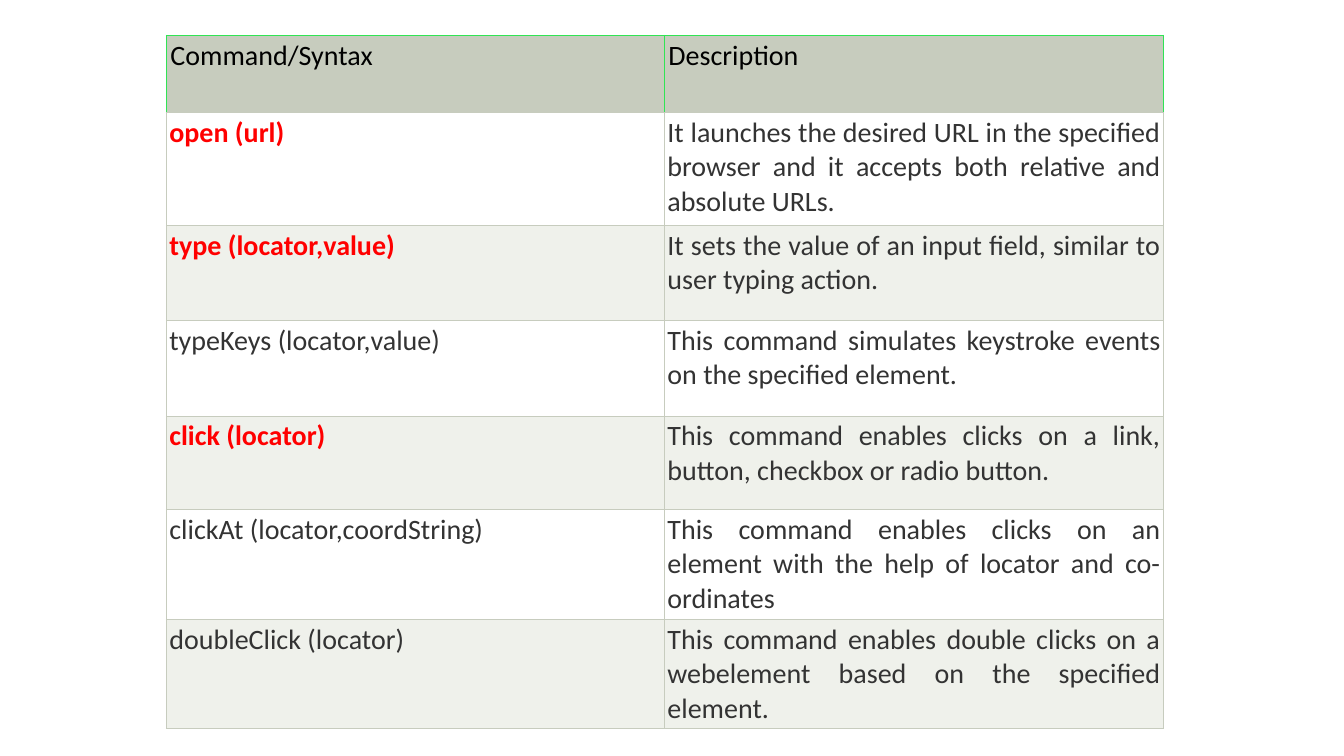
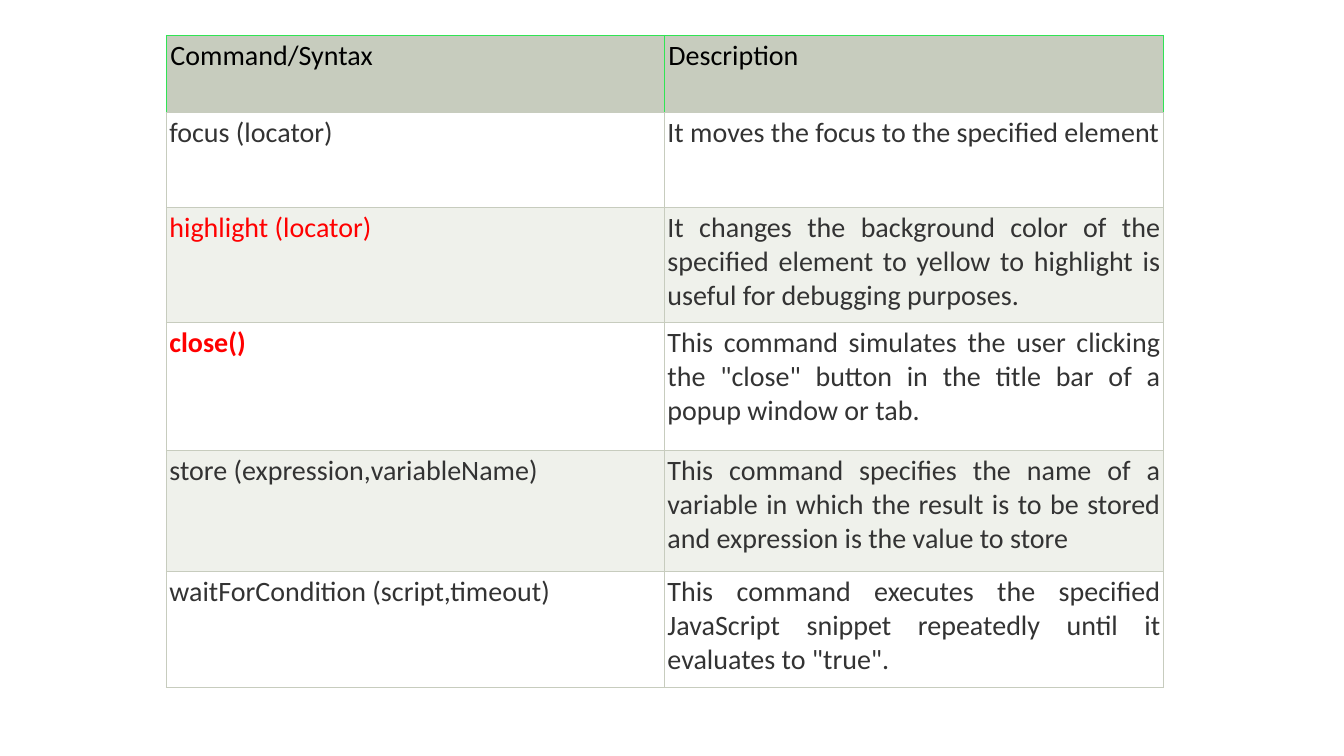
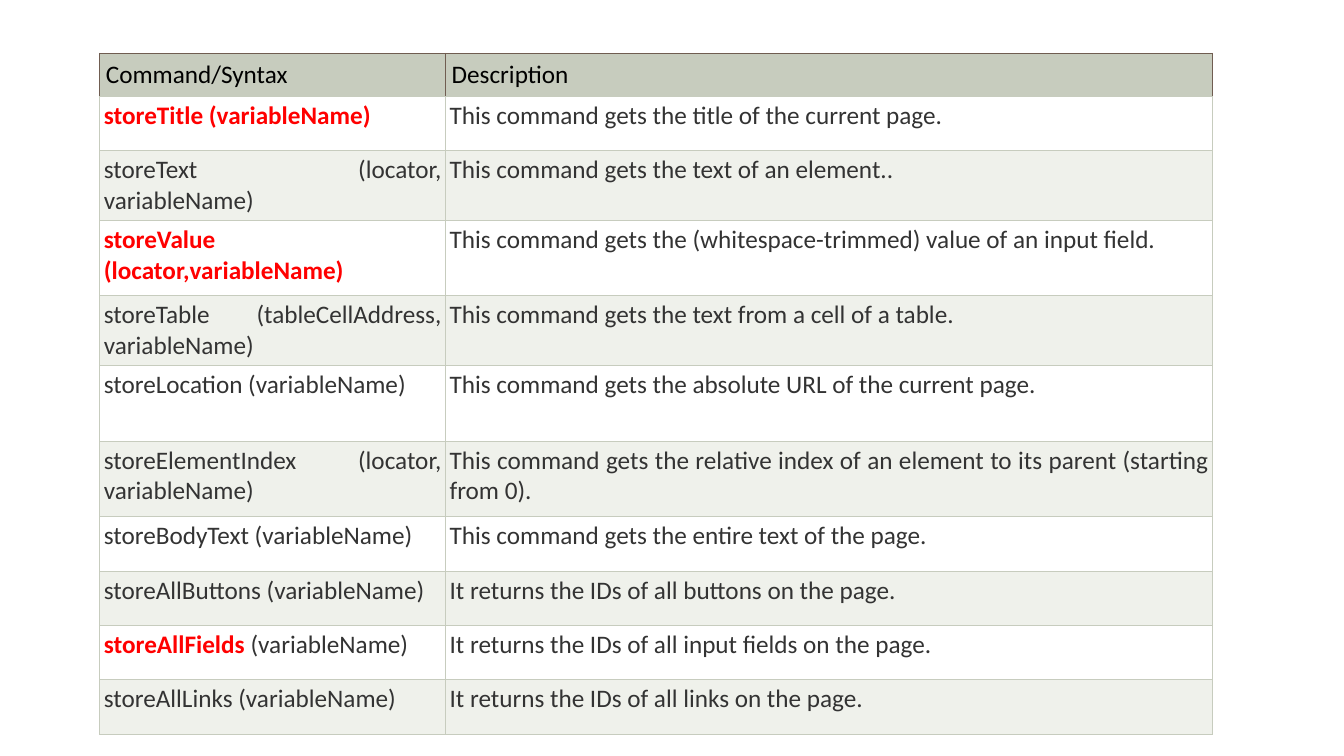
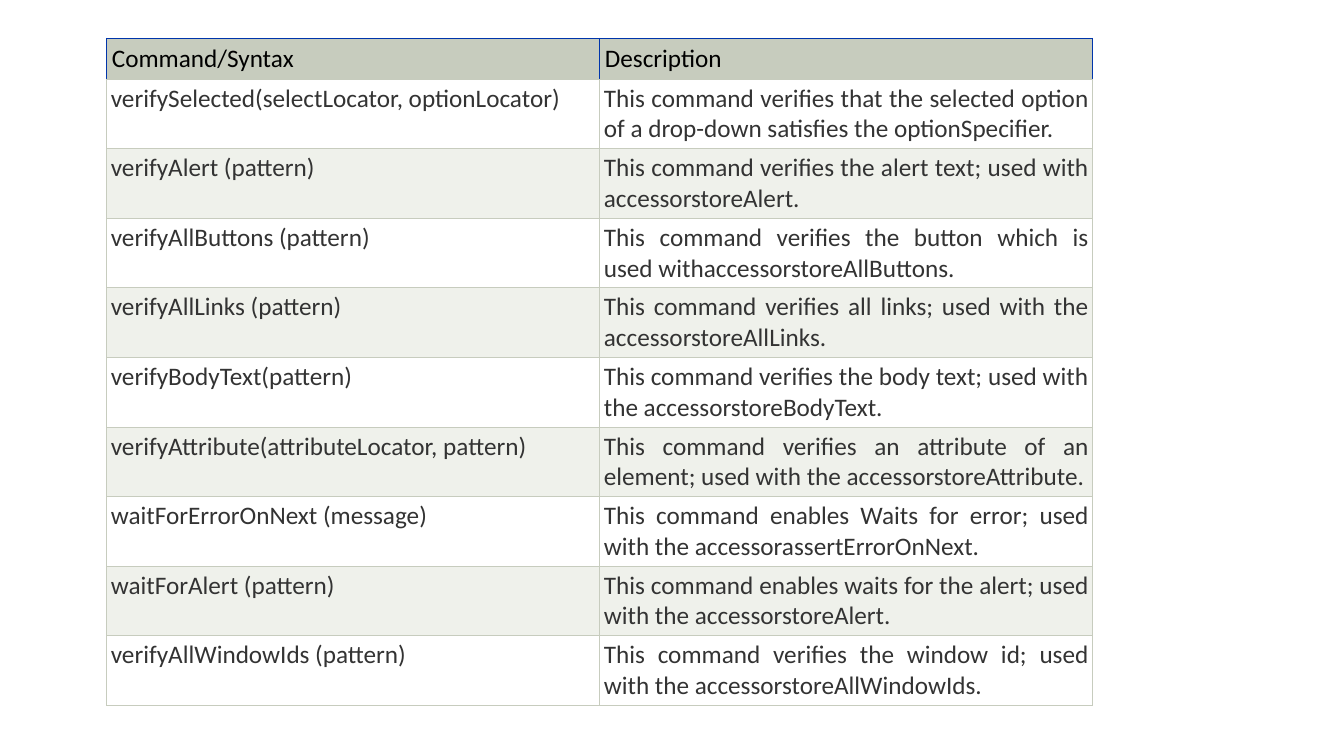
from lxml import etree
from pptx import Presentation
from pptx.dml.color import RGBColor
from pptx.enum.text import PP_ALIGN
from pptx.oxml.ns import qn
from pptx.util import Inches, Pt

JUSTIFY = PP_ALIGN.JUSTIFY
LEFT = PP_ALIGN.LEFT

FONT = "Calibri"
COLORS = {
    "header": "C7CCBE",
    "odd": "FFFFFF",
    "even": "EFF1EB",
    "grid": "C7CCBE",
    "title": "000000",
    "text": "333333",
    "red": "FF0000",
    "green": "30E454",
    "brown": "705D51",
    "blue": "0035AB",
}
HEADINGS = ("Command/Syntax", "Description")

# One entry per slide. Rows hold height, emphasis, command and description;
# a bar in the command ends its emphasised part.
TABLES = [
    dict(left=1.65, top=0.35, columns=(4.94, 4.95), size=20, header_height=0.77,
         header_line="green", header_inset=0.04, inset=0.03, rows=[
        (1.12, "strong", "open (url)",
         "It launches the desired URL in the specified browser and it accepts both "
         "relative and absolute URLs."),
        (0.94, "strong", "type (locator,value)",
         "It sets the value of an input field, similar to user typing action."),
        (0.95, "plain", "typeKeys (locator,value)",
         "This command simulates keystroke events on the specified element."),
        (0.93, "strong", "click (locator)",
         "This command enables clicks on a link, button, checkbox or radio button."),
        (1.09, "plain", "clickAt (locator,coordString)",
         "This command enables clicks on an element with the help of locator and "
         "co-ordinates"),
        (1.04, "plain", "doubleClick (locator)",
         "This command enables double clicks on a webelement based on the specified "
         "element."),
    ]),
    dict(left=1.65, top=0.35, columns=(4.94, 4.95), size=20, header_height=0.77,
         header_line="green", header_inset=0.04, inset=0.03, rows=[
        (0.94, "plain", "focus (locator)",
         "It moves the focus to the specified element"),
        (1.14, "red", "highlight (locator)",
         "It changes the background color of the specified element to yellow to "
         "highlight is useful for debugging purposes."),
        (1.27, "strong", "close()",
         'This command simulates the user clicking the "close" button in the title '
         "bar of a popup window or tab."),
        (1.2, "plain", "store (expression,variableName)",
         "This command specifies the name of a variable in which the result is to be "
         "stored and expression is the value to store"),
        (1.15, "plain", "waitForCondition (script,timeout)",
         "This command executes the specified JavaScript snippet repeatedly until it "
         'evaluates to "true".'),
    ]),
    dict(left=0.99, top=0.53, columns=(3.43, 7.61), size=18, header_height=0.38,
         header_line="brown", header_inset=0.06, inset=0.04, rows=[
        (0.54, "strong", "storeTitle (variableName)",
         "This command gets the title of the current page."),
        (0.54, "plain", "storeText (locator, variableName)",
         "This command gets the text of an element.."),
        (0.75, "strong", "storeValue (locator,variableName)",
         "This command gets the (whitespace-trimmed) value of an input field."),
        (0.54, "plain", "storeTable (tableCellAddress, variableName)",
         "This command gets the text from a cell of a table."),
        (0.75, "plain", "storeLocation (variableName)",
         "This command gets the absolute URL of the current page."),
        (0.75, "plain", "storeElementIndex (locator, variableName)",
         "This command gets the relative index of an element to its parent (starting "
         "from 0)."),
        (0.54, "plain", "storeBodyText (variableName)",
         "This command gets the entire text of the page."),
        (0.54, "plain", "storeAllButtons (variableName)",
         "It returns the IDs of all buttons on the page."),
        (0.54, "strong", "storeAllFields| (variableName)",
         "It returns the IDs of all input fields on the page."),
        (0.54, "plain", "storeAllLinks (variableName)",
         "It returns the IDs of all links on the page."),
    ]),
    dict(left=1.06, top=0.38, columns=(4.89, 4.89), size=18, header_height=0.26,
         header_line="blue", header_inset=0.05, inset=0.04, rows=[
        (0.5, "plain", command, description) for command, description in (
            ("verifySelected(selectLocator, optionLocator)",
             "This command verifies that the selected option of a drop-down satisfies "
             "the optionSpecifier."),
            ("verifyAlert (pattern)",
             "This command verifies the alert text; used with accessorstoreAlert."),
            ("verifyAllButtons (pattern)",
             "This command verifies the button which is used "
             "withaccessorstoreAllButtons."),
            ("verifyAllLinks (pattern)",
             "This command verifies all links; used with the accessorstoreAllLinks."),
            ("verifyBodyText(pattern)",
             "This command verifies the body text; used with the "
             "accessorstoreBodyText."),
            ("verifyAttribute(attributeLocator, pattern)",
             "This command verifies an attribute of an element; used with the "
             "accessorstoreAttribute."),
            ("waitForErrorOnNext (message)",
             "This command enables Waits for error; used with the "
             "accessorassertErrorOnNext."),
            ("waitForAlert (pattern)",
             "This command enables waits for the alert; used with the "
             "accessorstoreAlert."),
            ("verifyAllWindowIds (pattern)",
             "This command verifies the window id; used with the "
             "accessorstoreAllWindowIds."),
        )
    ]),
]


def set_borders(cell, side_color, bottom_color):
    properties = cell._tc.get_or_add_tcPr()
    for side in ("L", "R", "T", "B"):
        line = etree.SubElement(properties, qn("a:ln" + side), w=str(Pt(0.75)))
        fill = etree.SubElement(line, qn("a:solidFill"))
        color = bottom_color if side == "B" else side_color
        etree.SubElement(fill, qn("a:srgbClr"), val=COLORS[color])


def fill_cell(cell, runs, size, inset, background, line, align):
    cell.margin_left = cell.margin_right = Inches(inset)
    cell.margin_top = cell.margin_bottom = Inches(inset)
    set_borders(cell, line, "grid")
    cell.fill.solid()
    cell.fill.fore_color.rgb = RGBColor.from_string(COLORS[background])
    paragraph = cell.text_frame.paragraphs[0]
    paragraph.alignment = align
    paragraph.font.name = FONT
    paragraph.font.size = Pt(size)
    for text, color, bold in runs:
        run = paragraph.add_run()
        run.text = text
        run.font.color.rgb = RGBColor.from_string(COLORS[color])
        run.font.bold = bold


prs = Presentation()
prs.slide_width, prs.slide_height = Inches(13.33), Inches(7.5)
blank = prs.slide_layouts[6]

for page in TABLES:
    slide = prs.slides.add_slide(blank)
    size, columns, rows = page["size"], page["columns"], page["rows"]
    heights = [page["header_height"]] + [row[0] for row in rows]
    commands = slide.shapes.add_table(
        len(heights), len(columns), Inches(page["left"]), Inches(page["top"]),
        Inches(sum(columns)), Inches(sum(heights))).table
    commands.first_row = commands.horz_banding = False
    for column, width in zip(commands.columns, columns):
        column.width = Inches(width)
    for row, height in zip(commands.rows, heights):
        row.height = Inches(height)

    # Header row
    for column, heading in enumerate(HEADINGS):
        fill_cell(commands.cell(0, column), [(heading, "title", False)], size,
                  page["header_inset"], "header", page["header_line"], LEFT)

    # Command rows
    for number, (_, emphasis, command, description) in enumerate(rows, start=1):
        background = "odd" if number % 2 else "even"
        lead, _, rest = command.partition("|")
        lead_color = "text" if emphasis == "plain" else "red"
        command_runs = [(lead, lead_color, emphasis == "strong")]
        if rest:
            command_runs.append((rest, "text", False))
        for column, runs in enumerate((command_runs, [(description, "text", False)])):
            fill_cell(commands.cell(number, column), runs, size, page["inset"],
                      background, "grid", JUSTIFY)

prs.save("out.pptx")
